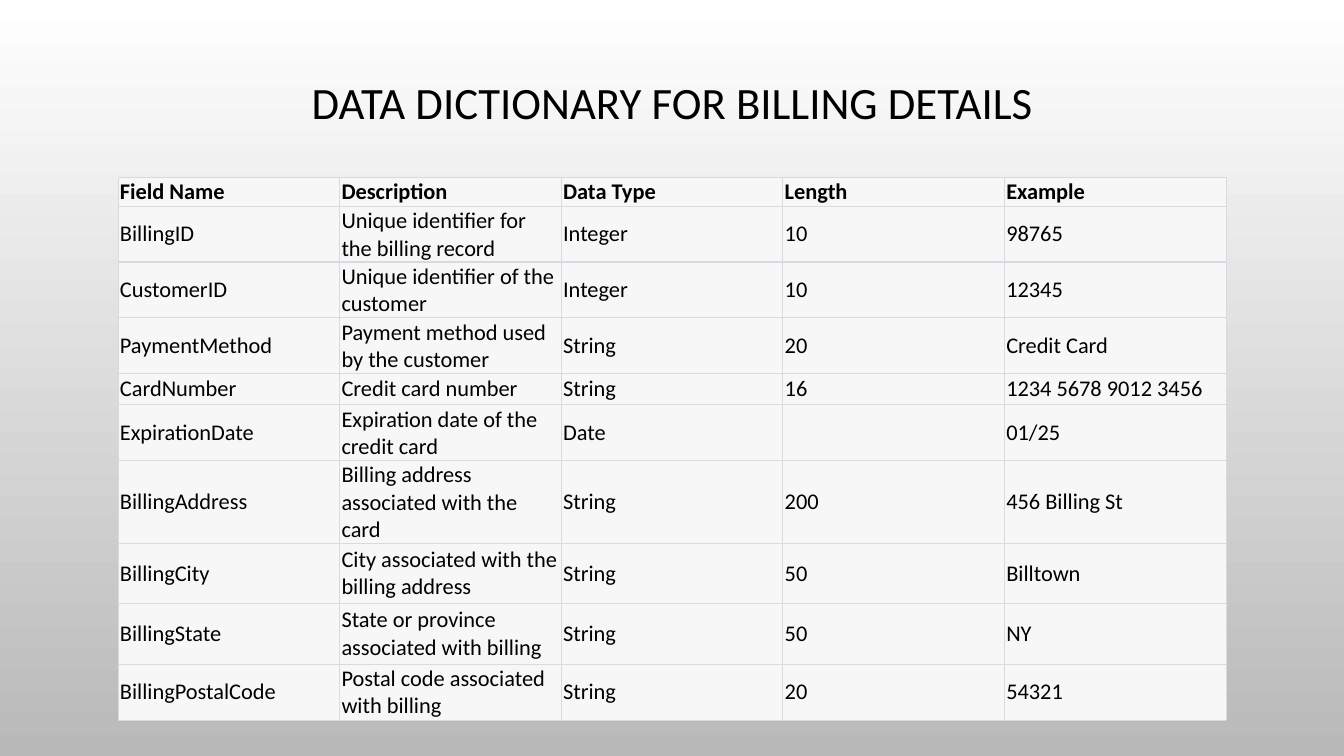
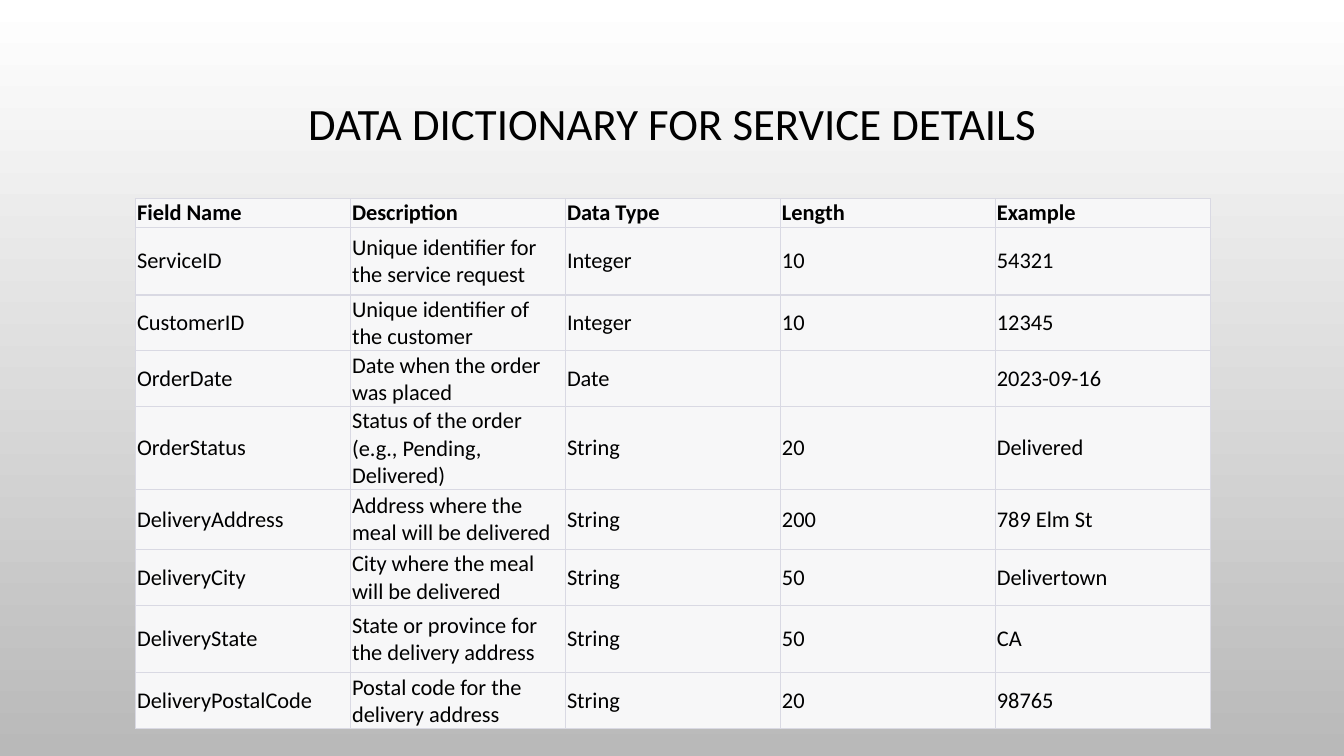
from lxml.etree import SubElement
from pptx import Presentation
from pptx.dml.color import RGBColor as Rgb
from pptx.enum.text import MSO_ANCHOR as Anchor, PP_ALIGN as Align
from pptx.oxml.ns import qn
from pptx.util import Inches, Pt

FONT = "Calibri"
HEX = {"text": "000000", "cell": "F7F7F8", "rule": "D9D9E3", "top": "FFFFFF", "base": "B9B9B9"}
HEAD = ("Field Name", "Description", "Data Type", "Length", "Example")
PAGES = [
    {
        "title": "DATA DICTIONARY FOR BILLING DETAILS",
        "top": 0.32, "left": 1.17, "width": 10.99,
        "rows": [
            (0.53, "BillingID", "Unique identifier for the billing record", "Integer", "10", "98765"),
            (0.53, "CustomerID", "Unique identifier of the customer", "Integer", "10", "12345"),
            (0.53, "PaymentMethod", "Payment method used by the customer", "String", "20", "Credit Card"),
            (0.31, "CardNumber", "Credit card number", "String", "16", "1234 5678 9012 3456"),
            (0.45, "ExpirationDate", "Expiration date of the credit card", "Date", "", "01/25"),
            (0.6, "BillingAddress", "Billing address associated with the card", "String", "200", "456 Billing St"),
            (0.6, "BillingCity", "City associated with the billing address", "String", "50", "Billtown"),
            (0.6, "BillingState", "State or province associated with billing", "String", "50", "NY"),
            (0.45, "BillingPostalCode", "Postal code associated with billing", "String", "20", "54321"),
        ],
    },
    {
        "title": "DATA DICTIONARY FOR SERVICE DETAILS",
        "top": 0.53, "left": 1.34, "width": 10.66,
        "rows": [
            (0.67, "ServiceID", "Unique identifier for the service request", "Integer", "10", "54321"),
            (0.53, "CustomerID", "Unique identifier of the customer", "Integer", "10", "12345"),
            (0.46, "OrderDate", "Date when the order was placed", "Date", "", "2023-09-16"),
            (0.6, "OrderStatus", "Status of the order (e.g., Pending, Delivered)", "String", "20", "Delivered"),
            (0.6, "DeliveryAddress", "Address where the meal will be delivered", "String", "200", "789 Elm St"),
            (0.53, "DeliveryCity", "City where the meal will be delivered", "String", "50", "Delivertown"),
            (0.67, "DeliveryState", "State or province for the delivery address", "String", "50", "CA"),
            (0.53, "DeliveryPostalCode", "Postal code for the delivery address", "String", "20", "98765"),
        ],
    },
]
TITLE_H = 1.44


def paint(master):
    fill = master.background.fill
    fill.gradient()
    fill.gradient_angle = 270
    for stop, place, name in zip(fill.gradient_stops, (0, 1), ("top", "base")):
        stop.position = place
        stop.color.rgb = Rgb.from_string(HEX[name])


def write(para, text, size, bold=False):
    run = para.add_run()
    run.text = text
    font = run.font
    font.name, font.size, font.bold = FONT, Pt(size), bold
    font.color.rgb = Rgb.from_string(HEX["text"])


def edge(cell, widths):
    props = cell._tc.get_or_add_tcPr()
    for side, width in widths.items():
        line = SubElement(props, qn(f"a:ln{side}"), w=str(Pt(width)))
        fill = SubElement(line, qn("a:solidFill"))
        SubElement(fill, qn("a:srgbClr"), val=HEX["rule"])


def add_title(slide, text, top):
    box = slide.shapes.add_textbox(Inches(1.97), Inches(top), Inches(9.4), Inches(TITLE_H))
    frame = box.text_frame
    frame.word_wrap = True
    frame.vertical_anchor = Anchor.MIDDLE
    para = frame.paragraphs[0]
    para.alignment = Align.CENTER
    para.line_spacing = 0.9
    write(para, text, 32)


def add_grid(slide, page):
    rows = [(0.17, *HEAD)] + page["rows"]
    high = sum(row[0] for row in rows)
    grid = slide.shapes.add_table(
        len(rows), len(HEAD), Inches(page["left"]), Inches(page["top"] + TITLE_H),
        Inches(page["width"]), Inches(high)).table
    grid.first_row = grid.horz_banding = False
    for col in grid.columns:
        col.width = Inches(page["width"] / len(HEAD))
    for r, (height, *texts) in enumerate(rows):
        grid.rows[r].height = Inches(height)
        head, last = r == 0, r == len(rows) - 1
        rules = {"L": 0.5, "R": 0.5, "T": 0.5 if head else 1, "B": 0.5 if last else 1}
        for c, text in enumerate(texts):
            cell = grid.cell(r, c)
            edge(cell, rules)
            cell.fill.solid()
            cell.fill.fore_color.rgb = Rgb.from_string(HEX["cell"])
            cell.margin_left = cell.margin_right = Inches(0.02)
            cell.margin_top = cell.margin_bottom = Inches(0.01)
            cell.vertical_anchor = Anchor.BOTTOM if head else Anchor.MIDDLE
            if text:
                write(cell.text_frame.paragraphs[0], text, 16, head)


def main():
    deck = Presentation()
    deck.slide_width, deck.slide_height = Inches(13.33), Inches(7.5)
    paint(deck.slide_master)
    for page in PAGES:
        slide = deck.slides.add_slide(deck.slide_layouts[6])
        add_title(slide, page["title"], page["top"])
        add_grid(slide, page)
    deck.save("out.pptx")


if __name__ == "__main__":
    main()
